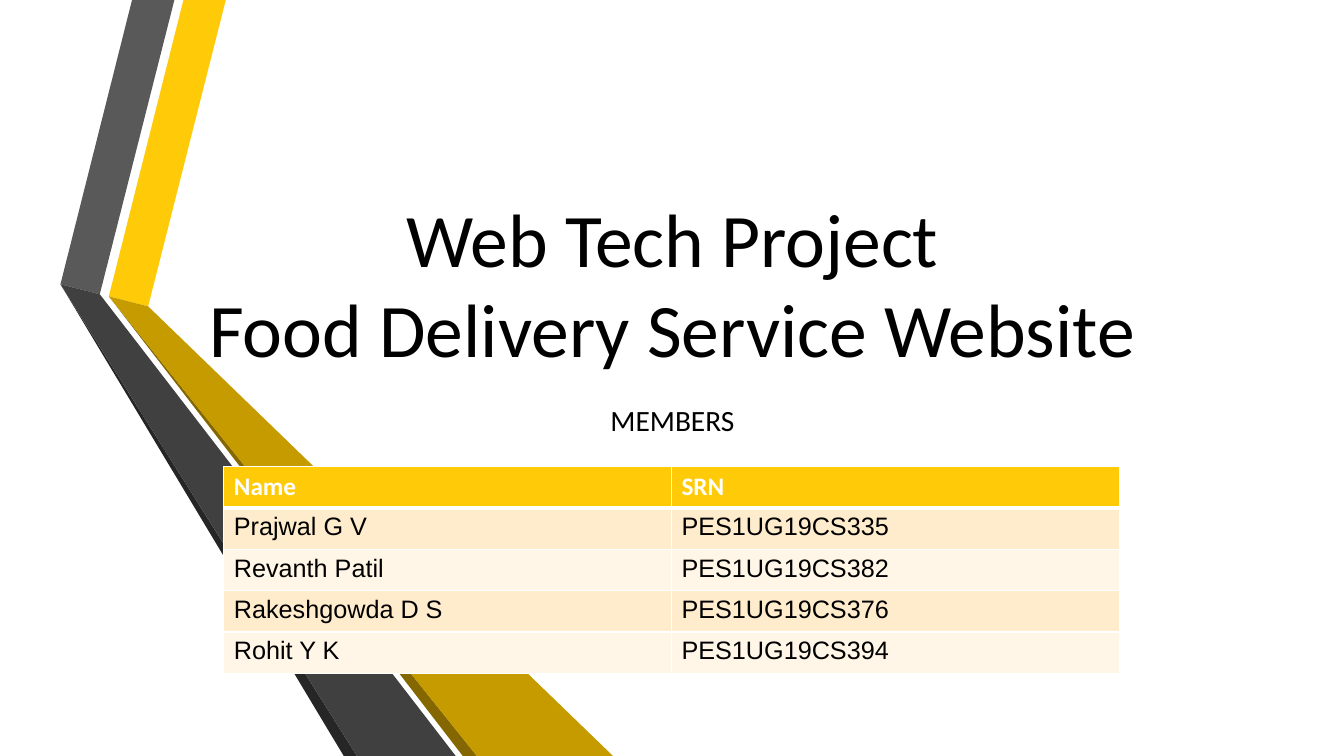
"""Build the title slide of a web project with its table of members."""
from lxml.etree import SubElement
from pptx import Presentation
from pptx.dml.color import RGBColor
from pptx.enum.text import MSO_ANCHOR, PP_ALIGN
from pptx.oxml.ns import qn
from pptx.util import Pt

PX = 9144


def rgb(value):
    return RGBColor.from_string(value)


def write(tf, text, **fmt):
    p = tf.paragraphs[0]
    p.text = text
    for r in p.runs:
        r.font.color.rgb = rgb(fmt.get("color", "000000"))
        for key in ("name", "size", "bold"):
            setattr(r.font, key, fmt.get(key))
    return p


prs = Presentation()
prs.slide_width, prs.slide_height = 1333 * PX, 750 * PX
s = prs.slides.add_slide(prs.slide_layouts[6])

ribbons = [
    ("FFCA08", [(108, 294), (147, 304), (224, 0), (182, 0)]),
    ("595959", [(99, 292), (173, 0), (131, 0), (60, 282)]),
    ("262626", [(60, 282), (341, 750), (354, 750)]),
    ("846700", [(473, 750), (108, 294), (459, 750)]),
    ("C59B00", [(108, 294), (473, 750), (608, 750), (147, 304)]),
    ("404040", [(452, 750), (106, 301), (99, 292), (60, 282), (354, 750)]),
]
for color, points in ribbons:
    builder = s.shapes.build_freeform(*points[0], scale=PX)
    builder.add_line_segments(points[1:], close=True)
    sp = builder.convert_to_shape()
    sp.shadow.inherit = False
    sp.fill.solid()
    sp.fill.fore_color.rgb = rgb(color)
    sp.line.fill.background()

texts = [
    ("Web Tech Project\vFood Delivery Service Website", 195, 180, 54, MSO_ANCHOR.BOTTOM),
    ("MEMBERS", 394, 45, 21, MSO_ANCHOR.TOP),
]
for text, top, height, size, anchor in texts:
    sp = s.shapes.add_textbox(167 * PX, top * PX, 1000 * PX, height * PX)
    tf = sp.text_frame
    tf.word_wrap = True
    tf.vertical_anchor = anchor
    p = write(tf, text, name="Calibri", size=Pt(size))
    p.alignment = PP_ALIGN.CENTER

members = [
    ("Name", "SRN"),
    ("Prajwal G V", "PES1UG19CS335"),
    ("Revanth Patil", "PES1UG19CS382"),
    ("Rakeshgowda D S", "PES1UG19CS376"),
    ("Rohit Y K", "PES1UG19CS394"),
]
header = {"name": "Calibri", "size": Pt(18), "bold": True, "color": "FFFFFF"}
body = {"name": "Arial", "size": Pt(18), "bold": False}
fills = ["FFCA08", "FFECCC", "FFF6E7", "FFECCC", "FFF6E7"]
table = s.shapes.add_table(5, 2, 222 * PX, 463 * PX, 888 * PX, 205 * PX).table
for i, row in enumerate(members):
    table.rows[i].height = 41 * PX
    for j, text in enumerate(row):
        cell = table.cell(i, j)
        write(cell.text_frame, text, **(body if i else header))
        tcPr = cell._tc.get_or_add_tcPr()
        for side in ("L", "R", "T", "B"):
            thick = (i, side) in ((0, "B"), (1, "T"))
            ln = SubElement(tcPr, qn(f"a:ln{side}"), w=str(Pt(3 if thick else 1)))
            SubElement(SubElement(ln, qn("a:solidFill")), qn("a:srgbClr"), val="FFFFFF")
        cell.fill.solid()
        cell.fill.fore_color.rgb = rgb(fills[i])

prs.save("out.pptx")
